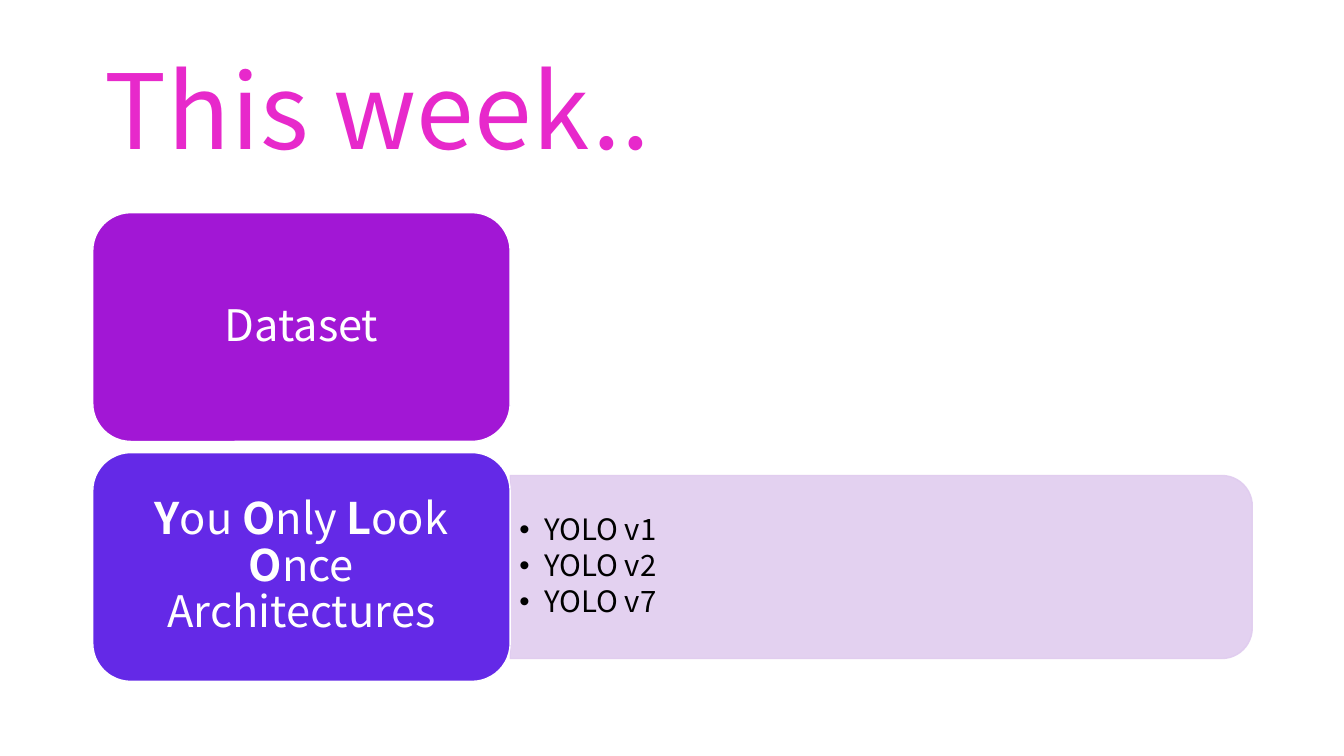
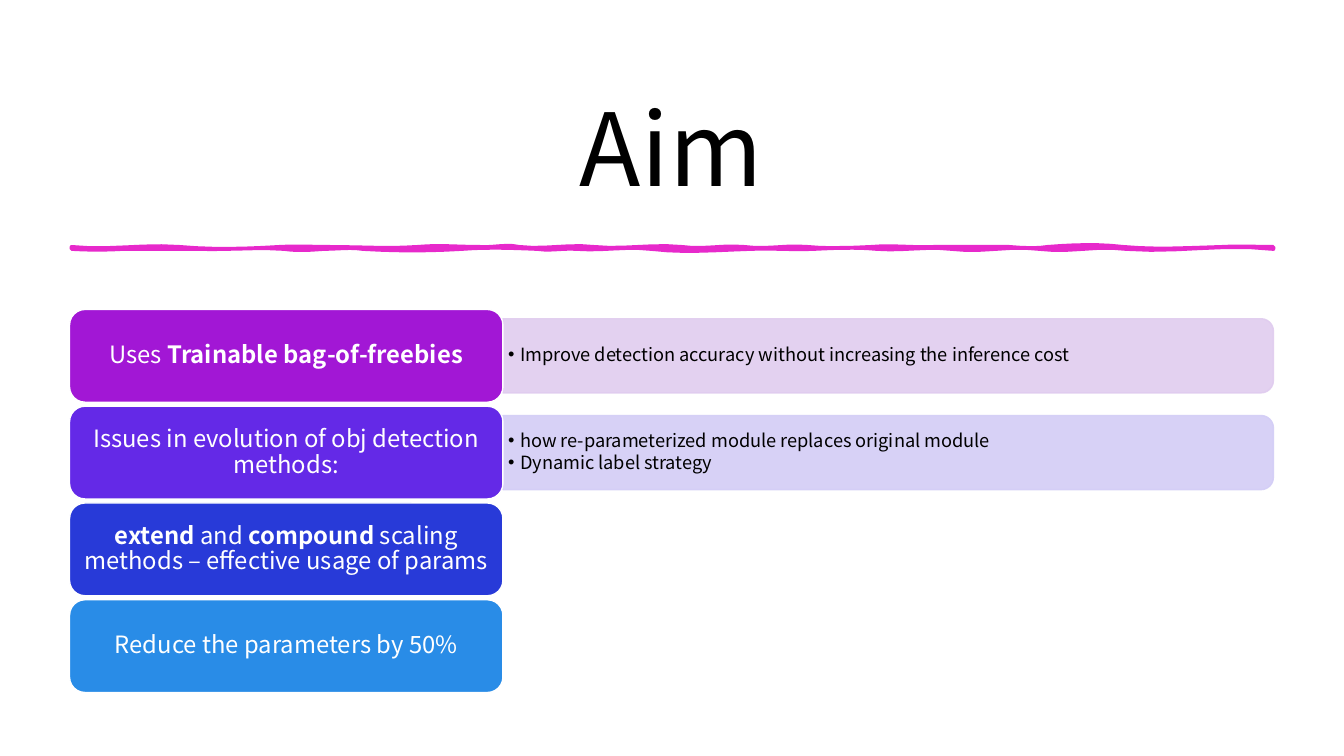
from dataclasses import dataclass

from lxml import etree
from pptx import Presentation
from pptx.dml.color import RGBColor
from pptx.enum.shapes import MSO_SHAPE as Preset
from pptx.enum.text import MSO_ANCHOR as Anchor
from pptx.enum.text import MSO_AUTO_SIZE as AutoSize
from pptx.enum.text import PP_ALIGN as Align
from pptx.oxml.ns import qn
from pptx.util import Inches, Pt

FONT = "Noto Sans CJK JP"
WHITE, BLACK, PINK = "FFFFFF", "000000", "E729CB"
PURPLE, VIOLET, BLUE, SKY = "A217D5", "6429E7", "283AD8", "298CE7"
PALE_PURPLE, PALE_VIOLET = "E0CCEF", "D3CDF6"

LABEL_SHARE = 0.36  # part of a row's width taken by its label
PANEL_SHARE = 0.8  # part of a label's height taken by its panel
CORNER_INSET = 0.05  # part of a panel's height kept free around its list
CURVE_STEPS = 6


@dataclass(frozen=True)
class Title:
    text: str
    box: tuple[float, float, float, float]
    size: int
    color: str
    align: Align
    line_spacing: float


@dataclass(frozen=True)
class Row:
    """A label, with **bold** parts, and the list in the panel beside it."""
    label: str
    color: str
    items: tuple[str, ...] = ()
    panel_color: str = WHITE


@dataclass(frozen=True)
class Grid:
    left: float
    top: float
    width: float
    label_height: float
    pitch: float
    label_size: int
    label_margins: tuple[float, float]
    item_size: int
    item_margins: tuple[float, float]
    item_indent: float


@dataclass(frozen=True)
class WaveEdge:
    """An edge at one height; each bend is (end x, first pull y, second pull y)."""
    start: float
    height: float
    bends: tuple[tuple[float, float, float], ...]


WAVE_EDGES = (
    WaveEdge(0.71, 2.47, (
        (1.22, 2.48, 2.48), (1.96, 2.47, 2.47), (2.82, 2.48, 2.45), (3.21, 2.49, 2.48),
        (3.6, 2.47, 2.45), (4.58, 2.49, 2.49), (5.33, 2.45, 2.46), (5.72, 2.49, 2.46),
        (6.46, 2.49, 2.44), (7.44, 2.51, 2.48), (8.07, 2.46, 2.48), (8.7, 2.46, 2.45),
        (9.44, 2.49, 2.44), (10.31, 2.51, 2.43), (11.17, 2.51, 2.43), (12.63, 2.51, 2.41),
    )),
    WaveEdge(12.63, 2.45, (
        (12.12, 2.45, 2.44), (11.14, 2.46, 2.48), (10.39, 2.42, 2.43), (10.01, 2.47, 2.46),
        (9.26, 2.45, 2.45), (8.64, 2.46, 2.43), (8.01, 2.46, 2.47), (7.38, 2.43, 2.48),
        (6.76, 2.43, 2.48), (5.89, 2.42, 2.48), (5.15, 2.42, 2.48), (4.76, 2.42, 2.46),
        (4.14, 2.45, 2.43), (3.27, 2.47, 2.45), (2.77, 2.45, 2.44), (1.78, 2.47, 2.48),
        (0.71, 2.42, 2.49),
    )),
)

WEEK_TITLE = Title("This week..", (0.92, 0.4, 11.5, 1.45), 74, PINK, Align.LEFT, 0.95)
WEEK_GRID = Grid(0.92, 2.11, 11.5, 2.27, 2.38, 31, (0.13, 0.06), 21, (0.09, 0.04), 0.25)
WEEK_ROWS = (
    Row("Dataset", PURPLE),
    Row("**Y**ou **O**nly **L**ook **O**nce Architectures", VIOLET,
        ("YOLO v1", "YOLO v2", "YOLO v7"), PALE_PURPLE),
)

AIM_TITLE = Title("Aim", (0.69, 0.69, 11.94, 1.44), 72, BLACK, Align.CENTER, 1.05)
AIM_GRID = Grid(0.69, 3.07, 11.94, 0.92, 0.96, 17, (0.07, 0.04), 13, (0.05, 0.03), 0.12)
AIM_ROWS = (
    Row("Uses **Trainable bag-of-freebies**", PURPLE,
        ("Improve detection accuracy without increasing the inference cost",), PALE_PURPLE),
    Row("Issues in evolution of obj detection methods:", VIOLET,
        ("how re-parameterized module replaces original module", "Dynamic label strategy"),
        PALE_VIOLET),
    Row("**extend **and **compound **scaling methods – effective usage of params", BLUE),
    Row("Reduce the parameters by 50%", SKY),
)


def rgb(color: str) -> RGBColor:
    return RGBColor.from_string(color)


def apply_format(target, values: dict) -> None:
    for name, value in values.items():
        setattr(target, name, value)


def place(shape, left: float, top: float, width: float, height: float) -> None:
    apply_format(shape, {"left": Inches(left), "top": Inches(top),
                         "width": Inches(width), "height": Inches(height)})


def paint(shape, fill: str, line: str, line_width: float = 1) -> None:
    shape.shadow.inherit = False
    shape.fill.solid()
    shape.fill.fore_color.rgb = rgb(fill)
    shape.line.color.rgb = rgb(line)
    shape.line.width = Pt(line_width)


def set_opacity(shape, percent: int) -> None:
    """Make both the fill and the line see-through."""
    for color in shape.element.spPr.iter(qn("a:srgbClr")):
        etree.SubElement(color, qn("a:alpha")).set("val", str(percent * 1000))


def format_frame(frame, left: float, top: float, right: float, bottom: float) -> None:
    apply_format(frame, {
        "word_wrap": True, "auto_size": AutoSize.NONE, "vertical_anchor": Anchor.MIDDLE,
        "margin_left": Inches(left), "margin_top": Inches(top),
        "margin_right": Inches(right), "margin_bottom": Inches(bottom),
    })


def write(paragraph, text: str, size: int, color: str, align: Align,
          line_spacing: float = 0.9, space_after: int = 0) -> None:
    apply_format(paragraph, {"alignment": align, "line_spacing": line_spacing,
                             "space_before": Pt(0), "space_after": Pt(space_after)})
    for index, part in enumerate(text.split("**")):
        if part:
            run = paragraph.add_run()
            run.text = part
            apply_format(run.font, {"name": FONT, "size": Pt(size), "bold": index % 2 == 1})
            run.font.color.rgb = rgb(color)


def write_title(slide, title: Title) -> None:
    shape = slide.shapes.title
    place(shape, *title.box)
    format_frame(shape.text_frame, 0.12, 0.12, 0.12, 0.1)
    paragraph = shape.text_frame.paragraphs[0]
    write(paragraph, title.text, title.size, title.color, title.align, title.line_spacing)
    for run in paragraph.runs:
        run.font._element.set("spc", "50")


def draw_label(slide, row: Row, grid: Grid, top: float) -> None:
    label = slide.shapes.add_shape(Preset.ROUNDED_RECTANGLE, 0, 0, 0, 0)
    place(label, grid.left, top, grid.width * LABEL_SHARE, grid.label_height)
    paint(label, row.color, WHITE)
    format_frame(label.text_frame, *grid.label_margins * 2)
    write(label.text_frame.paragraphs[0], row.label, grid.label_size, WHITE, Align.CENTER)


def draw_panel(slide, body, row: Row, grid: Grid, top: float) -> None:
    """Draw the pale panel with the body placeholder's list on top of it."""
    left = grid.left + grid.width * LABEL_SHARE
    width = grid.width * (1 - LABEL_SHARE)
    height = grid.label_height * PANEL_SHARE
    middle = top + grid.label_height / 2
    panel = slide.shapes.add_shape(Preset.ROUND_2_SAME_RECTANGLE, 0, 0, 0, 0)
    place(panel, left + (width - height) / 2, middle - width / 2, height, width)
    panel.rotation = 90
    paint(panel, row.panel_color, row.panel_color)
    set_opacity(panel, 90)
    body.element.addprevious(panel.element)

    inset = height * CORNER_INSET
    place(body, left, middle - height / 2 + inset, width - inset, height - 2 * inset)
    frame = body.text_frame
    format_frame(frame, *grid.item_margins * 2)
    for index, item in enumerate(row.items):
        paragraph = frame.add_paragraph() if index else frame.paragraphs[0]
        write(paragraph, item, grid.item_size, BLACK, Align.LEFT,
              space_after=round(grid.item_size * 0.15))
        properties = paragraph._p.get_or_add_pPr()
        properties.set("marL", str(Inches(grid.item_indent)))
        properties.set("indent", str(-Inches(grid.item_indent)))


def draw_rows(slide, rows: tuple[Row, ...], grid: Grid) -> None:
    bodies = (holder for holder in slide.placeholders if holder.placeholder_format.idx > 0)
    for index, row in enumerate(rows):
        top = grid.top + index * grid.pitch
        if row.items:
            draw_panel(slide, next(bodies), row, grid, top)
        draw_label(slide, row, grid, top)


def trace(edge: WaveEdge) -> list[tuple[int, int]]:
    """Sample the edge's cubic curves, with pulls at a third and two thirds."""
    points = [(Inches(edge.start), Inches(edge.height))]
    start = edge.start
    for end, first, second in edge.bends:
        for step in range(1, CURVE_STEPS + 1):
            t = step / CURVE_STEPS
            rise = 3 * t * (1 - t) * ((1 - t) * (first - edge.height)
                                      + t * (second - edge.height))
            points.append((Inches(start + (end - start) * t), Inches(edge.height + rise)))
        start = end
    return points


def draw_wavy_rule(slide) -> None:
    first, *others = [point for edge in WAVE_EDGES for point in trace(edge)]
    builder = slide.shapes.build_freeform(*first)
    builder.add_line_segments(others, close=True)
    paint(builder.convert_to_shape(), PINK, PINK, 2.75)


def main() -> None:
    presentation = Presentation()
    presentation.slide_width = Inches(13.33)
    presentation.slide_height = Inches(7.5)
    layouts = presentation.slide_layouts

    week = presentation.slides.add_slide(layouts.get_by_name("Title and Content"))
    write_title(week, WEEK_TITLE)
    draw_rows(week, WEEK_ROWS, WEEK_GRID)

    aim = presentation.slides.add_slide(layouts.get_by_name("Two Content"))
    write_title(aim, AIM_TITLE)
    draw_wavy_rule(aim)
    draw_rows(aim, AIM_ROWS, AIM_GRID)

    presentation.save("out.pptx")


if __name__ == "__main__":
    main()
